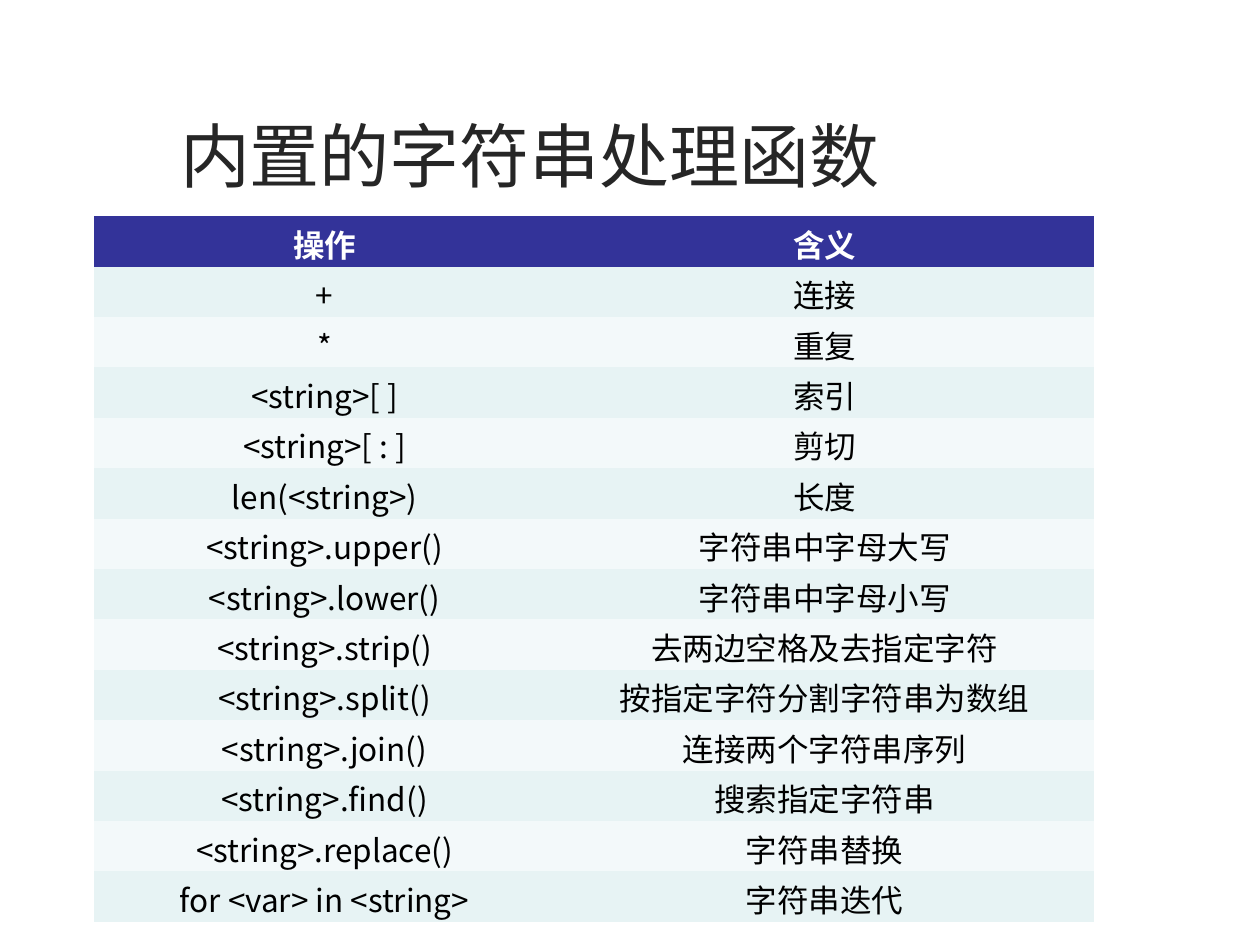
import pptx
import pptx.dml.color
import pptx.enum.text
import pptx.oxml
import pptx.oxml.ns
import pptx.util
from pptx.dml.color import RGBColor
from pptx.util import Pt

FONT = "Noto Sans CJK SC"
TITLE_COLOR = RGBColor(0x26, 0x26, 0x26)
HEADER_FILL = RGBColor(0x33, 0x33, 0x99)
BAND_FILLS = [RGBColor(0xF3, 0xF9, 0xFA), RGBColor(0xE7, 0xF3, 0xF4)]
WHITE = RGBColor(0xFF, 0xFF, 0xFF)
BLACK = RGBColor(0x00, 0x00, 0x00)
ROW_HEIGHT = 28.8
COLUMN_WIDTHS = [263.8, 307.6]

ROWS = [
    ("操作", "含义"),
    ("+", "连接"),
    ("*", "重复"),
    ("<string>[ ]", "索引"),
    ("<string>[ : ]", "剪切"),
    ("len(<string>)", "长度"),
    ("<string>.upper()", "字符串中字母大写"),
    ("<string>.lower()", "字符串中字母小写"),
    ("<string>.strip()", "去两边空格及去指定字符"),
    ("<string>.split()", "按指定字符分割字符串为数组"),
    ("<string>.join()", "连接两个字符串序列"),
    ("<string>.find()", "搜索指定字符串"),
    ("<string>.replace()", "字符串替换"),
    ("for <var> in <string>", "字符串迭代"),
]


def add_run(paragraph, text, size, color, bold=False):
    run = paragraph.add_run()
    run.text = text
    run.font.size = Pt(size)
    run.font.bold = bold
    run.font.color.rgb = color
    run.font.name = FONT
    properties = run.font._element
    east_asian = properties.makeelement(pptx.oxml.ns.qn("a:ea"), {"typeface": FONT})
    properties.find(pptx.oxml.ns.qn("a:latin")).addnext(east_asian)
    return run


presentation = pptx.Presentation()
presentation.slide_width = Pt(720)
presentation.slide_height = Pt(540)
slide = presentation.slides.add_slide(presentation.slide_layouts[6])

title = slide.shapes.add_textbox(Pt(95.8), Pt(60.5), Pt(414), Pt(55.4))
title.text_frame.word_wrap = False
title.text_frame.auto_size = pptx.enum.text.MSO_AUTO_SIZE.NONE
title.text_frame.vertical_anchor = pptx.enum.text.MSO_ANCHOR.MIDDLE
title_run = add_run(title.text_frame.paragraphs[0], "内置的字符串处理函数", 40, TITLE_COLOR)
shadow = pptx.oxml.parse_xml(
    '<a:effectLst xmlns:a="http://schemas.openxmlformats.org/drawingml/2006/main">'
    '<a:outerShdw blurRad="38100" dist="38100" dir="2700000" algn="tl">'
    '<a:srgbClr val="C0C0C0"/></a:outerShdw></a:effectLst>'
)
title_run.font._element.find(pptx.oxml.ns.qn("a:latin")).addprevious(shadow)

table = slide.shapes.add_table(
    len(ROWS), len(COLUMN_WIDTHS), Pt(53.6), Pt(123.6),
    Pt(sum(COLUMN_WIDTHS)), Pt(ROW_HEIGHT * len(ROWS)),
).table
for column, width in zip(table.columns, COLUMN_WIDTHS):
    column.width = Pt(width)

for row_index, texts in enumerate(ROWS):
    is_header = row_index == 0
    table.rows[row_index].height = Pt(ROW_HEIGHT)
    for column_index, text in enumerate(texts):
        cell = table.cell(row_index, column_index)
        cell.margin_top = Pt(2.6)
        cell.margin_bottom = Pt(0)
        cell.fill.solid()
        cell.fill.fore_color.rgb = HEADER_FILL if is_header else BAND_FILLS[row_index % 2]
        borders = cell._tc.get_or_add_tcPr()
        for position, side in enumerate(("lnL", "lnR", "lnT", "lnB")):
            border = borders.makeelement(pptx.oxml.ns.qn("a:" + side), {"w": "0"})
            border.append(border.makeelement(pptx.oxml.ns.qn("a:noFill"), {}))
            borders.insert(position, border)
        paragraph = cell.text_frame.paragraphs[0]
        paragraph.alignment = pptx.enum.text.PP_ALIGN.CENTER
        add_run(paragraph, text, 18, WHITE if is_header else BLACK, is_header)

presentation.save("out.pptx")
